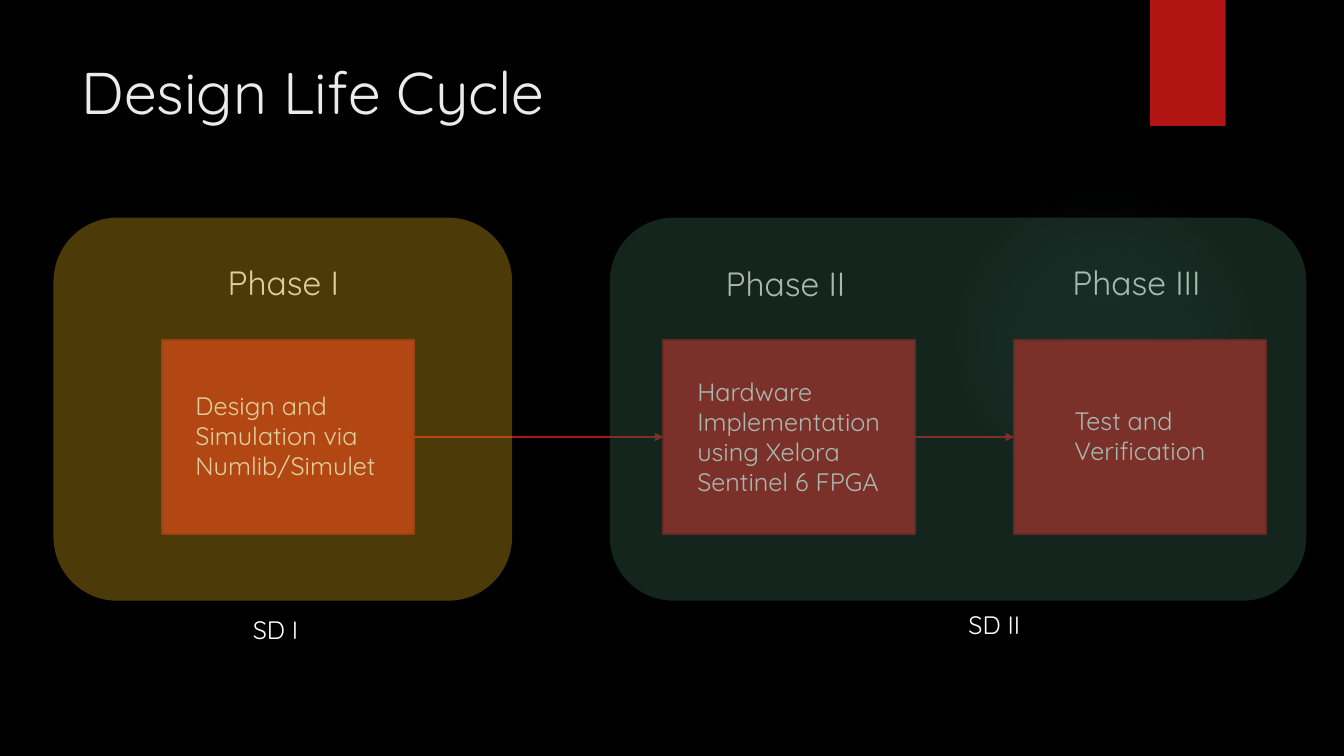
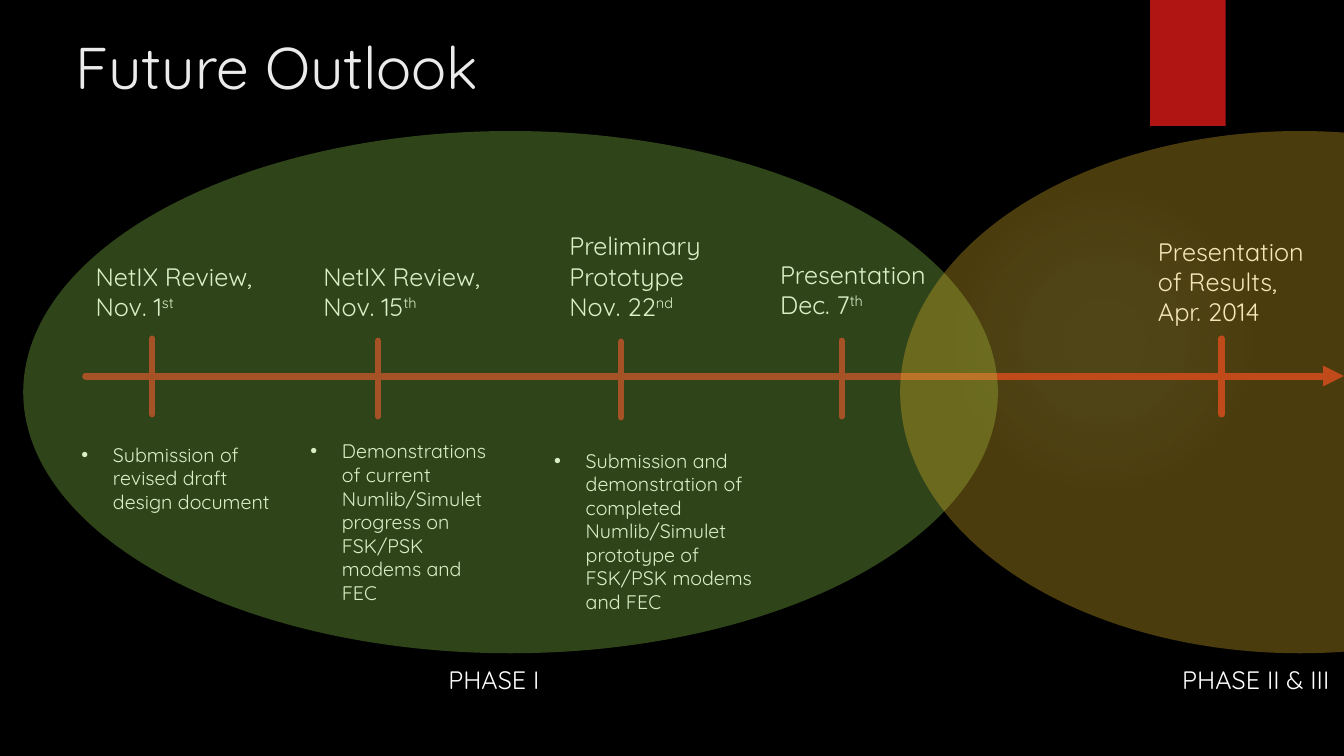
import lxml.etree
import pptx
import pptx.dml.color
import pptx.enum.shapes
import pptx.enum.text
import pptx.oxml
import pptx.oxml.ns
import pptx.util

Pt = pptx.util.Pt
SHAPE = pptx.enum.shapes.MSO_SHAPE
qn = pptx.oxml.ns.qn

FONT = "Quicksand"
BLACK, WHITE, TITLE_COLOUR = "000000", "FFFFFF", "EBEBEB"
RED, DARK_RED, GLOW = "B01513", "82100E", "50B9C1"
GLOW_STOPS = [(0, 7), (36, 6), (69, 0)]  # position and opacity in percent
BULLET_INDENT = 22.5

# Slide 1: phase label and its place, box left, box text and its place
BOX_TOP, BOX_WIDTH, BOX_HEIGHT = 242.6, 180, 139
PHASES = [
    ("Phase I", 155.5, 183.6, 115.9,
     "Design and Simulation via Numlib/Simulet", 132.5, 275),
    ("Phase II", 511.2, 184.3, 473.8,
     "Hardware Implementation using Xelora Sentinel 6 FPGA", 491, 265),
    ("Phase III", 758.9, 183.6, 724.3,
     "Test and Verification", 760.3, 285.8),
]
# name, name left, name top, panel left, panel width, colour
SEMESTERS = [
    ("SD II", 684.7, 432, 435.6, 497.5, "325948"),
    ("SD I", 173.5, 435.6, 38.2, 327.6, "B68E15"),
]

# Slide 2: tick x, tick top, caption left, caption top, caption paragraphs
# (the part after ^ is raised)
MILESTONES = [
    (108.7, 241.9, 61.2, 182.9, ["NetIX Review, Nov. 1^st"]),
    (270, 243.4, 223.9, 182.9, ["NetIX Review, Nov. 15^th"]),
    (443.5, 244.1, 399.6, 161.3, ["Preliminary Prototype", "Nov. 22^nd"]),
    (601.2, 243.4, 550.1, 181.4, ["Presentation", "Dec. 7^th"]),
    (872.6, 241.9, 820.1, 164.9, ["Presentation", "of Results,", "Apr. 2014"]),
]
DETAILS = [
    (51.1, 312.5, 159.1, "Submission of revised draft design document"),
    (214.6, 310.3, 148.3, "Demonstrations of current Numlib/Simulet progress "
                          "on FSK/PSK modems and FEC"),
    (388.8, 316.8, 163.4, "Submission and demonstration of completed "
                          "Numlib/Simulet prototype of FSK/PSK modems and FEC"),
]
# name, name left, ellipse left, ellipse width, colour
PERIODS = [
    ("PHASE I", 313.2, 16.6, 696.2, "92D050"),
    ("PHASE II & III", 837.4, 643, 571, "E6B729"),
]
TICK_LENGTH, AXIS_Y, AXIS_START, AXIS_END = 54, 268.6, 61.2, 960


def rgb(colour):
    return pptx.dml.color.RGBColor.from_string(colour)


def add_element(parent, tag, **attributes):
    element = lxml.etree.SubElement(parent, qn(tag))
    for name, value in attributes.items():
        element.set(name, str(value))
    return element


def write_text(frame, text, size=18, colour=WHITE, bullet=False):
    """Fill a frame with one paragraph or a list of them."""
    frame.word_wrap = True
    frame.vertical_anchor = pptx.enum.text.MSO_ANCHOR.TOP
    lines = [text] if isinstance(text, str) else text
    for index, line in enumerate(lines):
        paragraph = frame.add_paragraph() if index else frame.paragraphs[0]
        paragraph.alignment = pptx.enum.text.PP_ALIGN.LEFT
        if bullet:
            properties = paragraph._p.get_or_add_pPr()
            properties.set("marL", str(Pt(BULLET_INDENT)))
            properties.set("indent", str(-Pt(BULLET_INDENT)))
            add_element(properties, "a:buFont", typeface="Arial")
            add_element(properties, "a:buChar", char="•")
        for position, part in enumerate(line.split("^")):
            run = paragraph.add_run()
            run.text = part
            run.font.name = FONT
            run.font.size = Pt(size)
            run.font.color.rgb = rgb(colour)
            if position:
                run._r.get_or_add_rPr().set("baseline", "30000")


def add_text(slide, text, left, top, width, height=30, **text_format):
    box = slide.shapes.add_textbox(Pt(left), Pt(top), Pt(width), Pt(height))
    write_text(box.text_frame, text, **text_format)


def add_shape(slide, kind, left, top, width, height, fill, line=None, opacity=None):
    shape = slide.shapes.add_shape(kind, Pt(left), Pt(top), Pt(width), Pt(height))
    shape.shadow.inherit = False
    shape.fill.solid()
    shape.fill.fore_color.rgb = rgb(fill)
    if opacity is not None:
        colour = shape.element.spPr.find(qn("a:solidFill")).find(qn("a:srgbClr"))
        add_element(colour, "a:alpha", val=opacity * 1000)
    if line:
        shape.line.color.rgb = rgb(line)
        shape.line.width = Pt(1.5)
    else:
        shape.line.fill.background()
    return shape


def add_line(slide, start, end, width, arrow=False, round_cap=False):
    connector = slide.shapes.add_connector(
        pptx.enum.shapes.MSO_CONNECTOR.STRAIGHT, *map(Pt, start + end))
    connector.line.color.rgb = rgb(RED)
    connector.line.width = Pt(width)
    line = connector.line._get_or_add_ln()
    if round_cap:
        line.set("cap", "rnd")
    if arrow:
        add_element(line, "a:tailEnd", type="triangle")
    add_element(connector.element.spPr, "a:effectLst")
    return connector


def use_glow(shape):
    """Replace the solid fill with a faint radial gradient."""
    solid = shape.element.spPr.find(qn("a:solidFill"))
    gradient = lxml.etree.Element(qn("a:gradFill"))
    stops = add_element(gradient, "a:gsLst")
    for position, opacity in GLOW_STOPS:
        stop = add_element(stops, "a:gs", pos=position * 1000)
        colour = add_element(stop, "a:srgbClr", val=GLOW)
        add_element(colour, "a:alpha", val=opacity * 1000)
    circle = add_element(gradient, "a:path", path="circle")
    add_element(circle, "a:fillToRect", l=50000, t=50000, r=50000, b=50000)
    solid.getparent().replace(solid, gradient)


def decorate_layout(layout, slide):
    """Put the shared background, glow and red tab on the layout.

    The shapes are made on the slide and then moved.
    """
    layout.background.fill.solid()
    layout.background.fill.fore_color.rgb = rgb(BLACK)
    glow = add_shape(slide, SHAPE.OVAL, 677.5, 131.8, 221.8, 221.8, GLOW)
    use_glow(glow)
    tab = add_shape(slide, SHAPE.RECTANGLE, 821.5, 0, 54, 90, RED)
    for shape in (glow, tab):
        layout.shapes.element.append(shape.element)


def add_slide(presentation, layout, title, left, top):
    slide = presentation.slides.add_slide(layout)
    placeholder = slide.shapes.title
    placeholder.left, placeholder.top = Pt(left), Pt(top)
    placeholder.width, placeholder.height = Pt(741), Pt(110)
    write_text(placeholder.text_frame, title, size=42, colour=TITLE_COLOUR)
    return slide


def build_life_cycle(slide):
    boxes = [add_shape(slide, SHAPE.RECTANGLE, phase[3], BOX_TOP, BOX_WIDTH,
                       BOX_HEIGHT, RED, line=DARK_RED) for phase in PHASES]
    for before, after in zip(boxes, boxes[1:]):
        arrow = add_line(slide, (0, 0), (0, 0), 2, arrow=True)
        arrow.begin_connect(before, 3)
        arrow.end_connect(after, 1)
    for label, label_left, label_top, _, text, text_left, text_top in PHASES:
        add_text(slide, text, text_left, text_top, 163.4, 72)
        add_text(slide, label, label_left, label_top, 140.4, 36, size=24)
    for name, name_left, name_top, left, width, colour in SEMESTERS:
        add_shape(slide, SHAPE.ROUNDED_RECTANGLE, left, 155.5, width, 273.6,
                  colour, opacity=42)
        add_text(slide, name, name_left, name_top, 67)


def build_outlook(slide):
    for x, top, left, caption_top, caption in MILESTONES:
        add_line(slide, (x, top), (x, top + TICK_LENGTH), 4.5, round_cap=True)
        add_text(slide, caption, left, caption_top, 162.7, 51)
    for left, top, width, detail in DETAILS:
        add_text(slide, detail, left, top, width, 126, size=14, bullet=True)
    add_line(slide, (AXIS_START, AXIS_Y), (AXIS_END, AXIS_Y), 5,
             arrow=True, round_cap=True)
    for name, name_left, left, width, colour in PERIODS:
        add_text(slide, name, name_left, 470.9, 150)
        add_shape(slide, SHAPE.OVAL, left, 93.6, width, 373, colour, opacity=33)


def main():
    presentation = pptx.Presentation()
    presentation.slide_width, presentation.slide_height = Pt(960), Pt(540)
    layout = presentation.slide_layouts[5]
    life_cycle = add_slide(presentation, layout, "Design Life Cycle", 51, 36)
    decorate_layout(layout, life_cycle)
    build_life_cycle(life_cycle)
    build_outlook(add_slide(presentation, layout, "Future Outlook", 47, 18))
    presentation.save("out.pptx")


if __name__ == "__main__":
    main()
